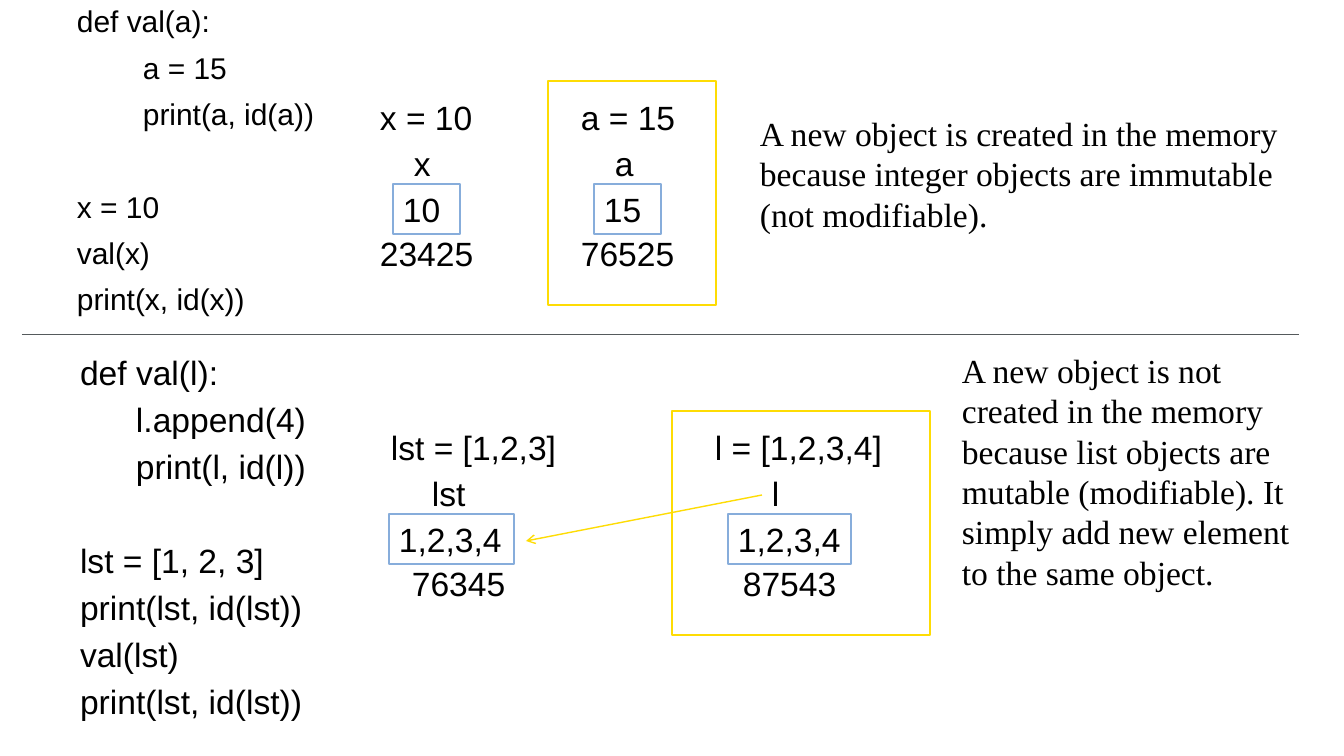
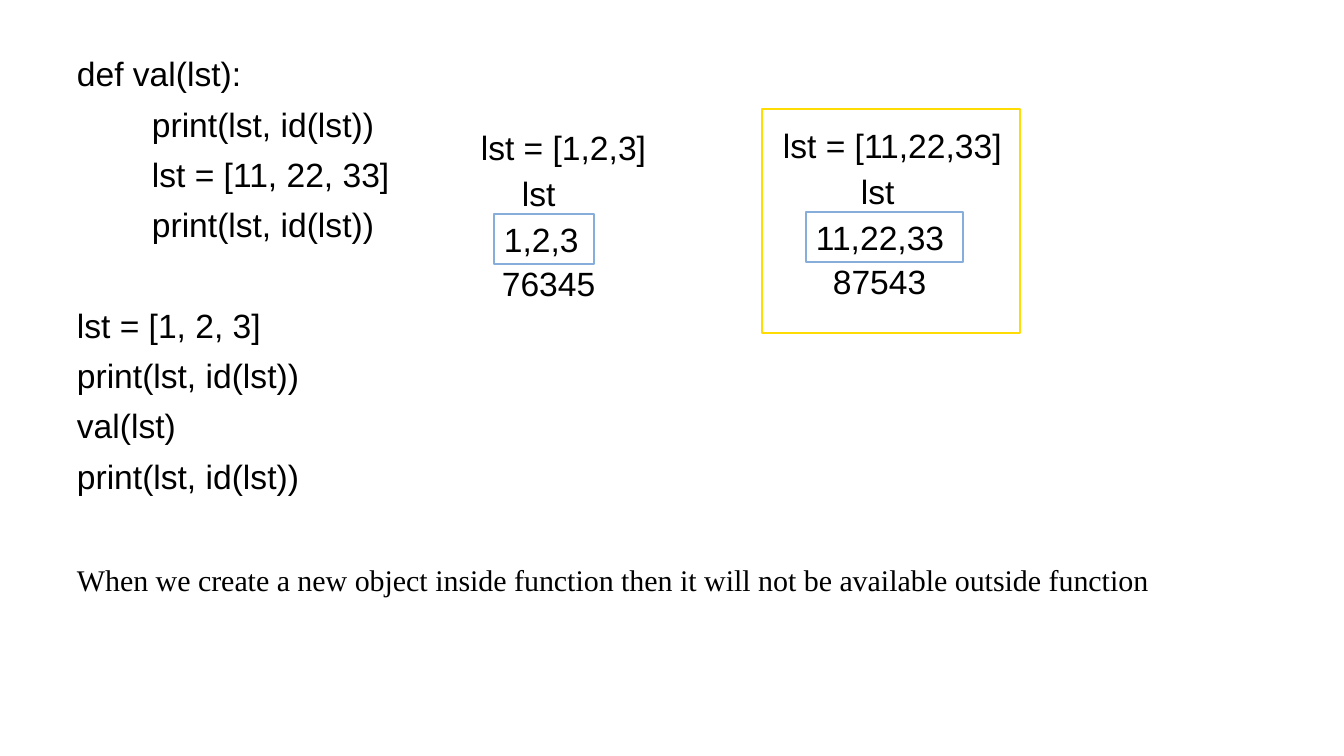
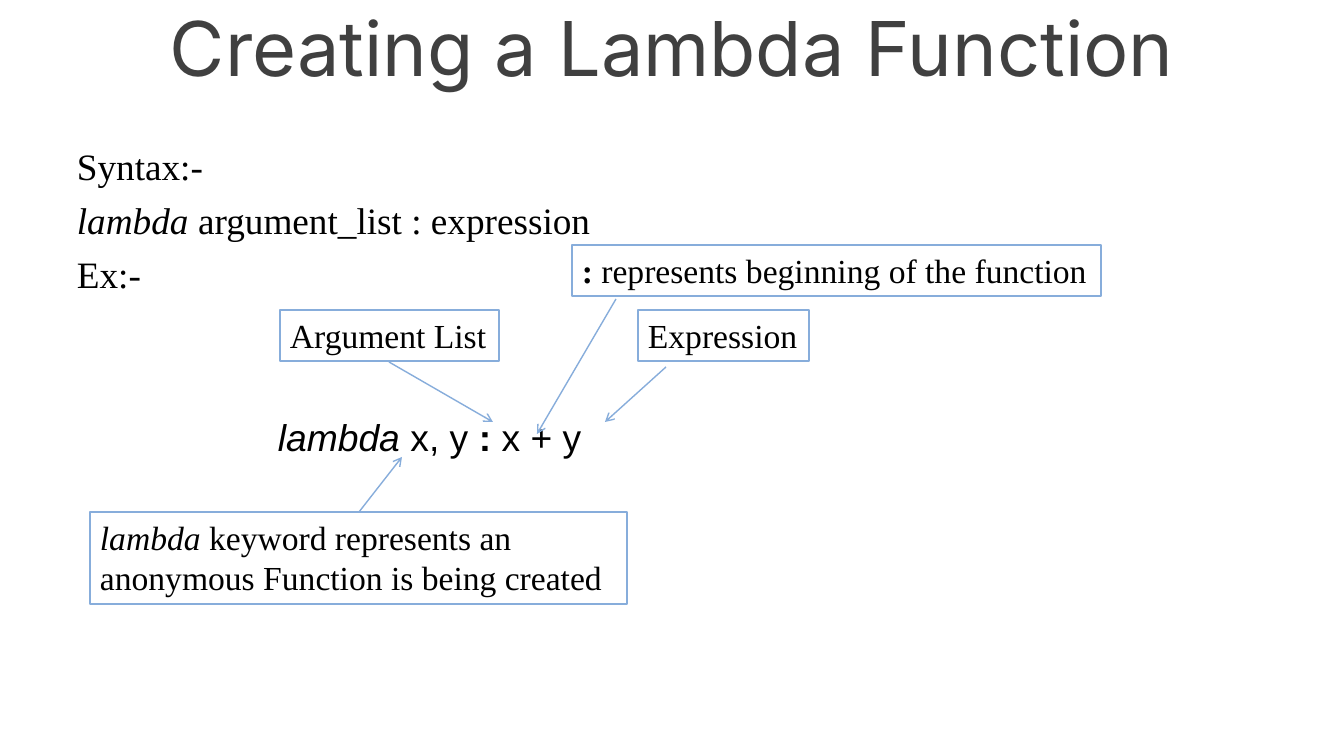
from lxml import etree
from pptx import Presentation
from pptx.dml.color import RGBColor
from pptx.enum.shapes import MSO_CONNECTOR, MSO_SHAPE
from pptx.enum.text import MSO_ANCHOR, MSO_AUTO_SIZE, PP_ALIGN
from pptx.oxml.ns import qn
from pptx.util import Emu, Pt

RECTANGLE = MSO_SHAPE.RECTANGLE
STRAIGHT = MSO_CONNECTOR.STRAIGHT
TOP = MSO_ANCHOR.TOP
GROW = MSO_AUTO_SIZE.SHAPE_TO_FIT_TEXT
FIXED = MSO_AUTO_SIZE.NONE
LEFT = PP_ALIGN.LEFT
CENTER = PP_ALIGN.CENTER

BLACK = RGBColor(0x00, 0x00, 0x00)
WHITE = RGBColor(0xFF, 0xFF, 0xFF)
CHARCOAL = RGBColor(0x40, 0x40, 0x40)
SLATE = RGBColor(0x55, 0x5A, 0x5C)
BLUE = RGBColor(0x87, 0xAD, 0xDB)
YELLOW = RGBColor(0xFE, 0xDC, 0x04)

SANS = "Arial"
SERIF = "Times New Roman"
DISPLAY = "Inter"
SCALE = 914400 / 100.8
LINE_HEIGHT = 1.2


def px(length):
    """Turn pixels into EMU."""
    return Emu(round(length * SCALE))


def write(frame, lines, *, size=24, font=SANS, color=BLACK, align=LEFT, spacing=1.0,
          before=0, indent=0, indented=(), gap_at=None, gap_lines=1, wrap=True, grow=True):
    """Fill a text frame with lines, each a string or a list of (text, style, font) runs."""
    frame.word_wrap = wrap
    frame.auto_size = GROW if grow else FIXED
    frame.vertical_anchor = TOP
    pitch = size * LINE_HEIGHT * spacing + before
    for index, line in enumerate(lines):
        paragraph = frame.paragraphs[0] if index == 0 else frame.add_paragraph()
        paragraph.alignment = align
        paragraph.line_spacing = spacing
        paragraph.space_before = Pt(before + (pitch * gap_lines if index == gap_at else 0))
        if index in indented:
            properties = paragraph._p.get_or_add_pPr()
            properties.set("marL", str(px(indent)))
            properties.set("indent", "0")
        for text, style, face in [(line, "", font)] if isinstance(line, str) else line:
            run = paragraph.add_run()
            run.text = text
            run.font.size = Pt(size)
            run.font.name = face
            run.font.color.rgb = color
            run.font.bold = style == "bold"
            run.font.italic = style == "italic"


class Deck:
    """Holds the shared style and the current slide."""

    def __init__(self):
        """Start an empty wide presentation."""
        self.presentation = Presentation()
        self.presentation.slide_width = px(1344)
        self.presentation.slide_height = px(756)
        self.slide = None

    def new_slide(self):
        """Add a blank slide and make it current."""
        self.slide = self.presentation.slides.add_slide(self.presentation.slide_layouts[6])

    def text(self, place, lines, inset=None, **style):
        """Add a text box."""
        frame = self.slide.shapes.add_textbox(*map(px, place)).text_frame
        if inset:
            frame.margin_left = frame.margin_right = px(inset[0])
            frame.margin_top = frame.margin_bottom = px(inset[1])
        write(frame, lines, **style)

    def code(self, place, lines, **style):
        """Add a listing or body text of fixed height."""
        self.text(place, lines, grow=False, **{"spacing": 0.9, "before": 10, **style})

    def frame(self, place, color=YELLOW, fill=None):
        """Add an outlined rectangle and return it."""
        outline = self.slide.shapes.add_shape(RECTANGLE, *map(px, place))
        outline.shadow.inherit = False
        outline.line.color.rgb = color
        outline.line.width = Pt(1)
        if fill is None:
            outline.fill.background()
        else:
            outline.fill.solid()
            outline.fill.fore_color.rgb = fill
        return outline

    def label(self, place, lines, **style):
        """Add a white box with a blue outline and text."""
        write(self.frame(place, BLUE, WHITE).text_frame, lines, **style)

    def line(self, start, end, color=BLUE, width=1, arrow=True):
        """Add a straight line, with an arrowhead at its end if wanted."""
        connector = self.slide.shapes.add_connector(STRAIGHT, *map(px, start + end))
        connector.line.color.rgb = color
        connector.line.width = Pt(width)
        if arrow:
            head = etree.SubElement(connector.line._get_or_add_ln(), qn("a:tailEnd"))
            head.set("type", "arrow")
        etree.SubElement(connector._element.spPr, qn("a:effectLst"))

    def variable(self, top, assignment, name, value, address):
        """Show a variable in memory, each part as (text, left, width)."""
        for (text, left, width), drop in ((assignment, 0), (name, 46), (address, 136)):
            self.text((left, top + drop, width, 50), [text], wrap=False)
        text, left, width = value
        self.label((left, top + 92, width, 50), [text])


def build_arguments(deck):
    """Compare passing an integer with passing a list."""
    deck.new_slide()
    deck.code((67, 2, 291, 320),
              ["def val(a):", "a = 15", "print(a, id(a))", "x = 10", "val(x)", "print(x, id(x))"],
              size=21.4, indent=66, indented=(1, 2), gap_at=3)
    deck.variable(92, ("x = 10", 370, 114), ("x", 404, 37), ("10", 393, 67), ("23425", 370, 115))
    deck.variable(92, ("a = 15", 571, 116), ("a", 605, 39), ("15", 594, 67), ("76525", 571, 115))
    deck.frame((548, 81, 168, 224))
    deck.text((750, 108, 548, 132),
              ["A new object is created in the memory because integer objects are immutable "
               "(not modifiable)."], font=SERIF)
    deck.code((67, 345, 490, 403),
              ["def val(l):", "l.append(4)", "print(l, id(l))", "lst = [1, 2, 3]",
               "print(lst, id(lst))", "val(lst)", "print(lst, id(lst))"],
              inset=(13, 7), spacing=1.0, before=4.8, indent=56, indented=(1, 2), gap_at=3)
    deck.variable(422, ("lst = [1,2,3]", 381, 187), ("lst", 422, 54),
                  ("1,2,3,4", 389, 125), ("76345", 402, 115))
    deck.variable(422, ("l = [1,2,3,4]", 705, 188), ("l", 762, 28),
                  ("1,2,3,4", 728, 123), ("87543", 733, 115))
    deck.frame((672, 411, 258, 224))
    deck.line((762, 495), (526, 541), YELLOW)
    deck.line((22, 334), (1299, 334), SLATE, 0.5, arrow=False)
    deck.text((952, 345, 359, 254),
              ["A new object is not created in the memory because list objects are mutable "
               "(modifiable). It simply add new element to the same object."], font=SERIF)


def build_reassignment(deck):
    """Show a list replaced inside a function."""
    deck.new_slide()
    deck.code((67, 53, 370, 499),
              ["def val(lst):", "print(lst, id(lst))", "lst = [11, 22, 33]",
               "print(lst, id(lst))", "lst = [1, 2, 3]", "print(lst, id(lst))", "val(lst)",
               "print(lst, id(lst))"],
              indent=75, indented=(1, 2, 3), gap_at=4)
    deck.variable(122, ("lst = [1,2,3]", 471, 187), ("lst", 512, 54),
                  ("1,2,3", 494, 100), ("76345", 492, 115))
    deck.variable(120, ("lst = [11,22,33]", 773, 241), ("lst", 851, 54),
                  ("11,22,33", 806, 157), ("87543", 823, 115))
    deck.frame((762, 109, 258, 224))
    deck.text((67, 557, 1100, 46),
              ["When we create a new object inside function then it will not be available "
               "outside function"], size=21.4, font=SERIF, wrap=False)


def build_lambda(deck):
    """Explain the parts of a lambda function."""
    deck.new_slide()
    deck.text((67, 6, 1210, 126), ["Creating a Lambda Function"], size=54, font=DISPLAY,
              color=CHARCOAL, align=CENTER, spacing=0.9, grow=False)
    deck.code((67, 143, 1210, 526),
              ["Syntax:-",
               [("lambda ", "italic", SERIF), ("argument_list : expression", "", SERIF)],
               "Ex:-",
               [("lambda", "italic", SANS), (" x, y ", "", SANS), (":", "bold", SANS),
                (" x + y", "", SANS)]],
              size=26.6, font=SERIF, indent=201, indented=(3,), gap_at=3, gap_lines=2)
    deck.label((90, 512, 537, 92),
               [[("lambda", "italic", SERIF),
                 (" keyword represents an anonymous Function is being created", "", SERIF)]])
    deck.label((280, 310, 219, 51), ["Argument List"], font=SERIF, wrap=False)
    deck.label((572, 245, 529, 51),
               [[(":", "bold", SERIF), (" represents beginning of the function", "", SERIF)]],
               wrap=False)
    deck.label((638, 310, 171, 51), ["Expression"], font=SERIF, wrap=False)
    for start, end in (((359, 512), (402, 457)), ((389, 362), (493, 422)),
                       ((616, 299), (537, 434)), ((666, 367), (605, 422))):
        deck.line(start, end)


def main():
    """Build and save the slides."""
    deck = Deck()
    build_arguments(deck)
    build_reassignment(deck)
    build_lambda(deck)
    deck.presentation.save("out.pptx")


if __name__ == "__main__":
    main()
